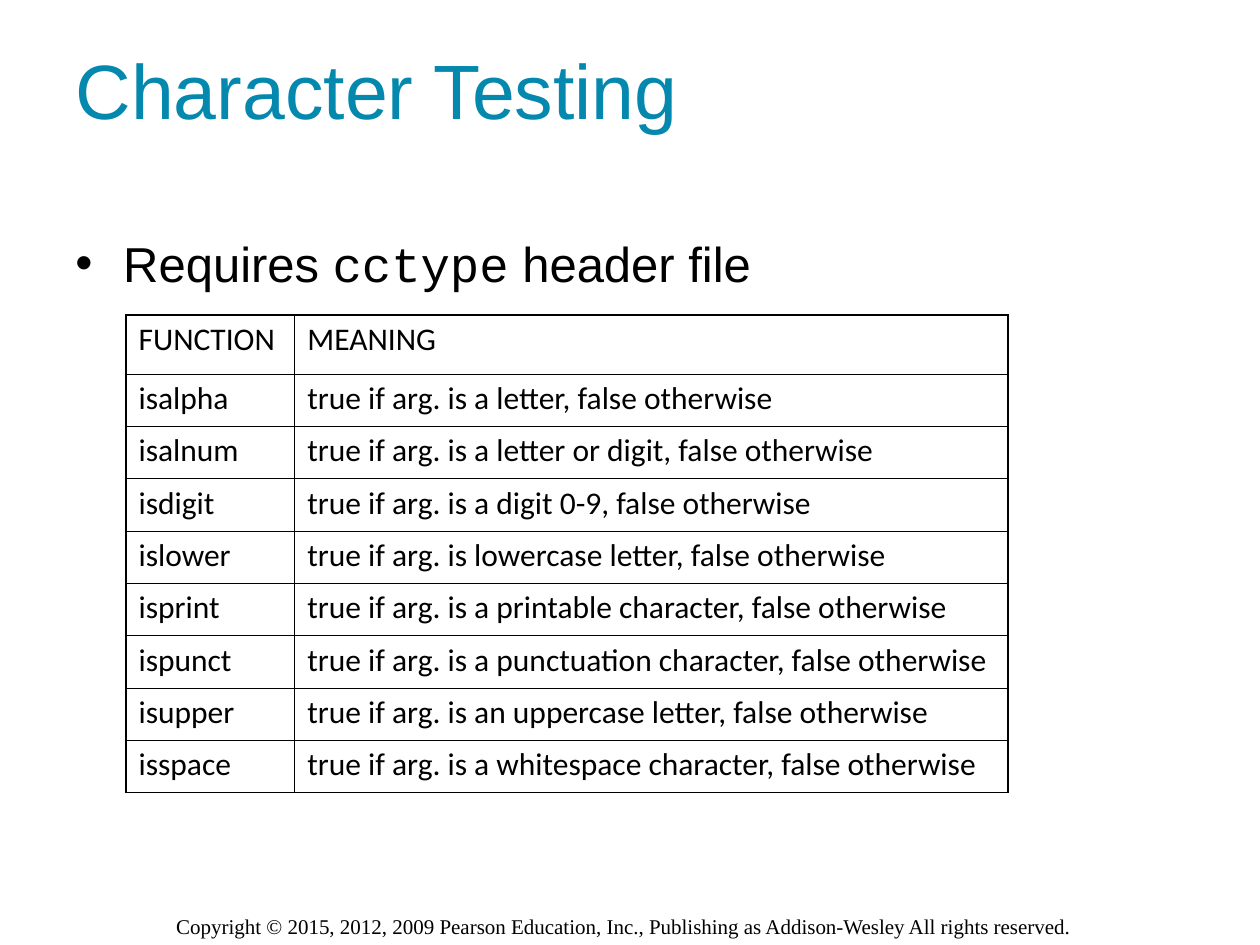
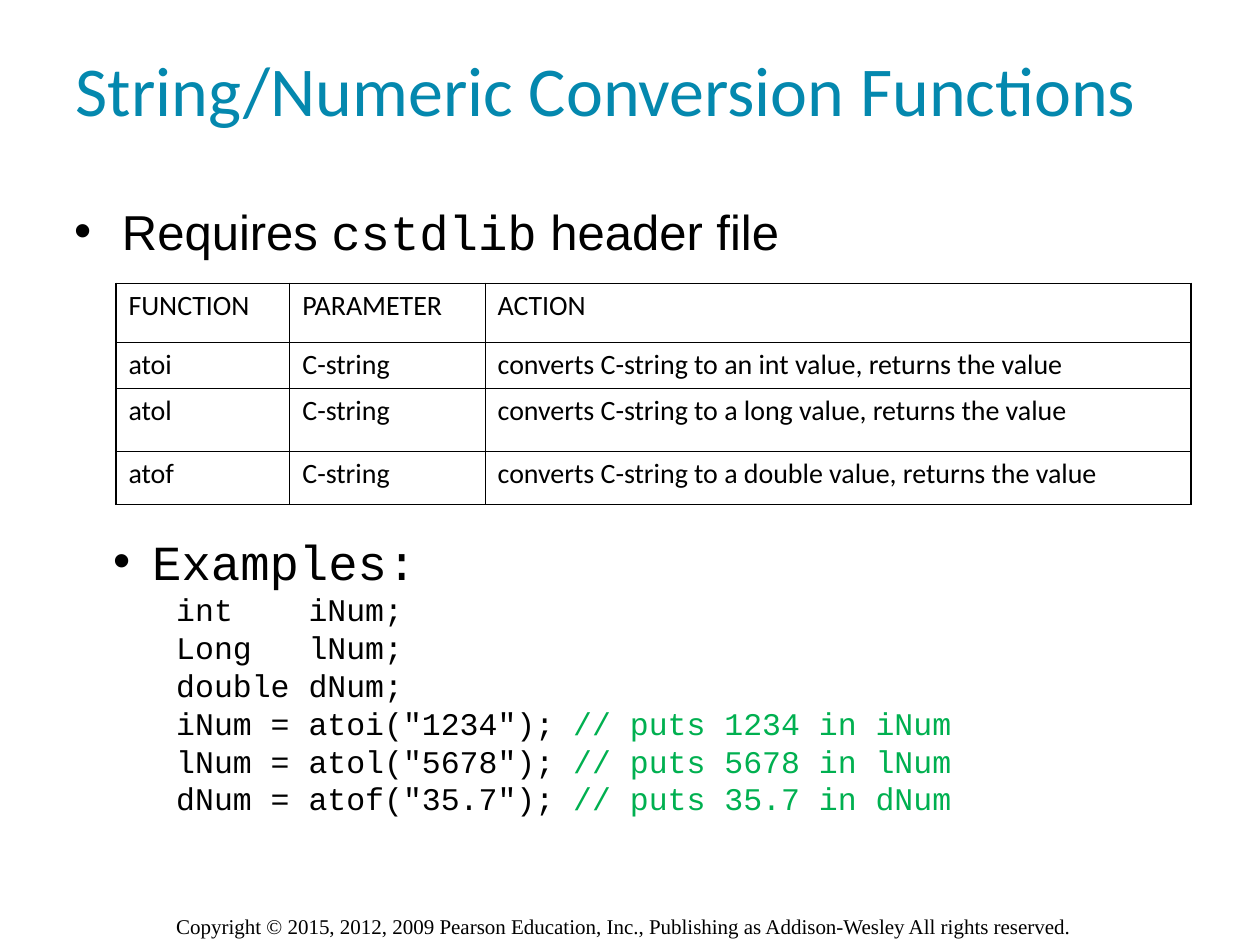
from dataclasses import dataclass

from lxml import etree
from pptx import Presentation
from pptx.dml.color import RGBColor
from pptx.enum.text import MSO_ANCHOR as Anchor, MSO_AUTO_SIZE as AutoSize, PP_ALIGN as Align
from pptx.oxml.ns import qn
from pptx.util import Inches, Pt

TITLE_ONLY = 5
COPYRIGHT = (
    "Copyright © 2015, 2012, 2009 Pearson Education, Inc., "
    "Publishing as Addison-Wesley All rights reserved."
)
CHARACTER_TESTS = [
    ("isalpha", "a letter"),
    ("isalnum", "a letter or digit"),
    ("isdigit", "a digit 0-9"),
    ("islower", "lowercase letter"),
    ("isprint", "a printable character"),
    ("ispunct", "a punctuation character"),
    ("isupper", "an uppercase letter"),
    ("isspace", "a whitespace character"),
]
CONVERSIONS = [("atoi", "an int"), ("atol", "a long"), ("atof", "a double")]
DECLARATIONS = ["int    iNum;", "Long   lNum;", "double dNum;"]
ASSIGNMENTS = [("iNum", "atoi", "1234"), ("lNum", "atol", "5678"), ("dNum", "atof", "35.7")]


@dataclass(frozen=True)
class Theme:
    title_color: str = "0488AE"
    ink: str = "000000"
    comment: str = "00B050"
    sans: str = "Arial"
    table_font: str = "Calibri"
    code_font: str = "Courier New"
    footer_font: str = "Times New Roman"
    title_size: int = 44
    long_title_size: int = 40
    bullet_size: int = 28
    body_size: int = 18
    small_size: int = 16
    footer_size: int = 12
    outer_border: float = 1.08
    inner_border: float = 0.45


THEME = Theme()


def write_text(paragraph, text, size=THEME.body_size, font=THEME.sans, color=THEME.ink,
               bullet=False, margin=0, spacing=None):
    """Append runs; text is a string or a list of (text, overrides) pairs."""
    properties = paragraph._p.get_or_add_pPr()
    properties.set("marL", str(Inches(margin)))
    properties.set("indent", str(Inches(-margin if bullet else 0)))
    if bullet:
        bullet_color = etree.SubElement(properties, qn("a:buClr"))
        etree.SubElement(bullet_color, qn("a:srgbClr"), val=color)
        etree.SubElement(properties, qn("a:buFont"), typeface=THEME.sans)
        etree.SubElement(properties, qn("a:buChar"), char="•")
    paragraph.alignment = Align.LEFT
    if spacing:
        paragraph.line_spacing = spacing
    pieces = [(text, {})] if isinstance(text, str) else text
    for words, overrides in pieces:
        run = paragraph.add_run()
        run.text = words
        run.font.size = Pt(size)
        run.font.name = overrides.get("font", font)
        run.font.color.rgb = RGBColor.from_string(overrides.get("color", color))


class Deck:
    def __init__(self, theme):
        self.theme = theme
        self.presentation = Presentation()
        self.presentation.slide_width = Inches(10)
        self.presentation.slide_height = Inches(7.5)
        self.slide = None

    def add_slide(self, title, width, **text_format):
        layout = self.presentation.slide_layouts[TITLE_ONLY]
        self.slide = self.presentation.slides.add_slide(layout)
        shape = self.slide.shapes.title
        shape.left, shape.top = Inches(0.5), Inches(0.08)
        shape.width, shape.height = Inches(width), Inches(1.25)
        frame = shape.text_frame
        frame.auto_size = AutoSize.NONE
        frame.vertical_anchor = Anchor.MIDDLE
        write_text(frame.paragraphs[0], title, color=self.theme.title_color, **text_format)
        footer = self.add_text_frame(1.3, 7.2, 7.42, 0.3)
        write_text(footer.paragraphs[0], COPYRIGHT, size=self.theme.footer_size,
                   font=self.theme.footer_font)

    def add_text_frame(self, left, top, width, height):
        shape = self.slide.shapes.add_textbox(
            Inches(left), Inches(top), Inches(width), Inches(height))
        shape.text_frame.word_wrap = True
        return shape.text_frame

    def add_requirement(self, header, left, top, width, height):
        frame = self.add_text_frame(left, top, width, height)
        frame.margin_top = Inches(0.1)
        pieces = [("Requires ", {}), (header, {"font": self.theme.code_font}),
                  (" header file", {})]
        write_text(frame.paragraphs[0], pieces, size=self.theme.bullet_size,
                   bullet=True, margin=0.38)

    def set_borders(self, cell, widths):
        properties = cell._tc.get_or_add_tcPr()
        for index, (side, width) in enumerate(widths.items()):
            line = etree.Element(qn(f"a:ln{side}"), w=str(Pt(width)))
            fill = etree.SubElement(line, qn("a:solidFill"))
            etree.SubElement(fill, qn("a:srgbClr"), val=self.theme.ink)
            properties.insert(index, line)

    def add_table(self, rows, left, top, column_widths, row_heights, size, bottom_border):
        table = self.slide.shapes.add_table(
            len(rows), len(column_widths), Inches(left), Inches(top),
            Inches(sum(column_widths)), Inches(sum(row_heights))).table
        table.first_row = table.horz_banding = False
        for column, width in zip(table.columns, column_widths):
            column.width = Inches(width)
        for row, height in zip(table.rows, row_heights):
            row.height = Inches(height)
        outer, inner = self.theme.outer_border, self.theme.inner_border
        last_row, last_column = len(rows) - 1, len(column_widths) - 1
        for row_index, values in enumerate(rows):
            for column_index, value in enumerate(values):
                cell = table.cell(row_index, column_index)
                cell.fill.background()
                self.set_borders(cell, {
                    "L": outer if column_index == 0 else inner,
                    "R": outer if column_index == last_column else inner,
                    "T": outer if row_index == 0 else inner,
                    "B": bottom_border if row_index == last_row else inner,
                })
                write_text(cell.text_frame.paragraphs[0], value, size=size,
                           font=self.theme.table_font, spacing=0.95)

    def add_examples(self, heading, code_lines, left, top, width, height):
        frame = self.add_text_frame(left, top, width, height)
        frame.auto_size = AutoSize.SHAPE_TO_FIT_TEXT
        write_text(frame.paragraphs[0], heading, size=self.theme.bullet_size,
                   font=self.theme.code_font, bullet=True, margin=0.31)
        for code in code_lines:
            paragraph = frame.add_paragraph()
            paragraph.level = 1
            write_text(paragraph, code, font=self.theme.code_font, margin=0.5)


def add_character_testing(deck):
    deck.add_slide("Character Testing", 8.33, size=THEME.title_size)
    deck.add_requirement("cctype", 0.5, 1.75, 8.64, 0.59)
    rows = [("FUNCTION", "MEANING")]
    rows += [(name, f"true if arg. is {kind}, false otherwise")
             for name, kind in CHARACTER_TESTS]
    heights = [0.47] + [0.415] * len(CHARACTER_TESTS)
    deck.add_table(rows, 1, 2.5, [1.34, 5.66], heights, THEME.body_size, THEME.outer_border)


def add_conversion_functions(deck):
    deck.add_slide("String/Numeric Conversion Functions", 9.08,
                   size=THEME.long_title_size, font=THEME.table_font)
    deck.add_requirement("cstdlib", 0.49, 1.5, 8.73, 0.75)
    rows = [("FUNCTION", "PARAMETER", "ACTION")]
    rows += [(name, "C-string", f"converts C-string to {kind} value, returns the value")
             for name, kind in CONVERSIONS]
    deck.add_table(rows, 0.92, 2.25, [1.38, 1.55, 5.6], [0.47, 0.36, 0.5, 0.42],
                   THEME.small_size, THEME.inner_border)
    assignments = [
        [(f'{variable} = {function}("{value}"); ', {}),
         (f"// puts {value} in {variable}", {"color": THEME.comment})]
        for variable, function, value in ASSIGNMENTS
    ]
    deck.add_examples("Examples:", DECLARATIONS + assignments, 0.8, 4.17, 8.42, 2.37)


def main():
    deck = Deck(THEME)
    add_character_testing(deck)
    add_conversion_functions(deck)
    deck.presentation.save("out.pptx")


if __name__ == "__main__":
    main()
